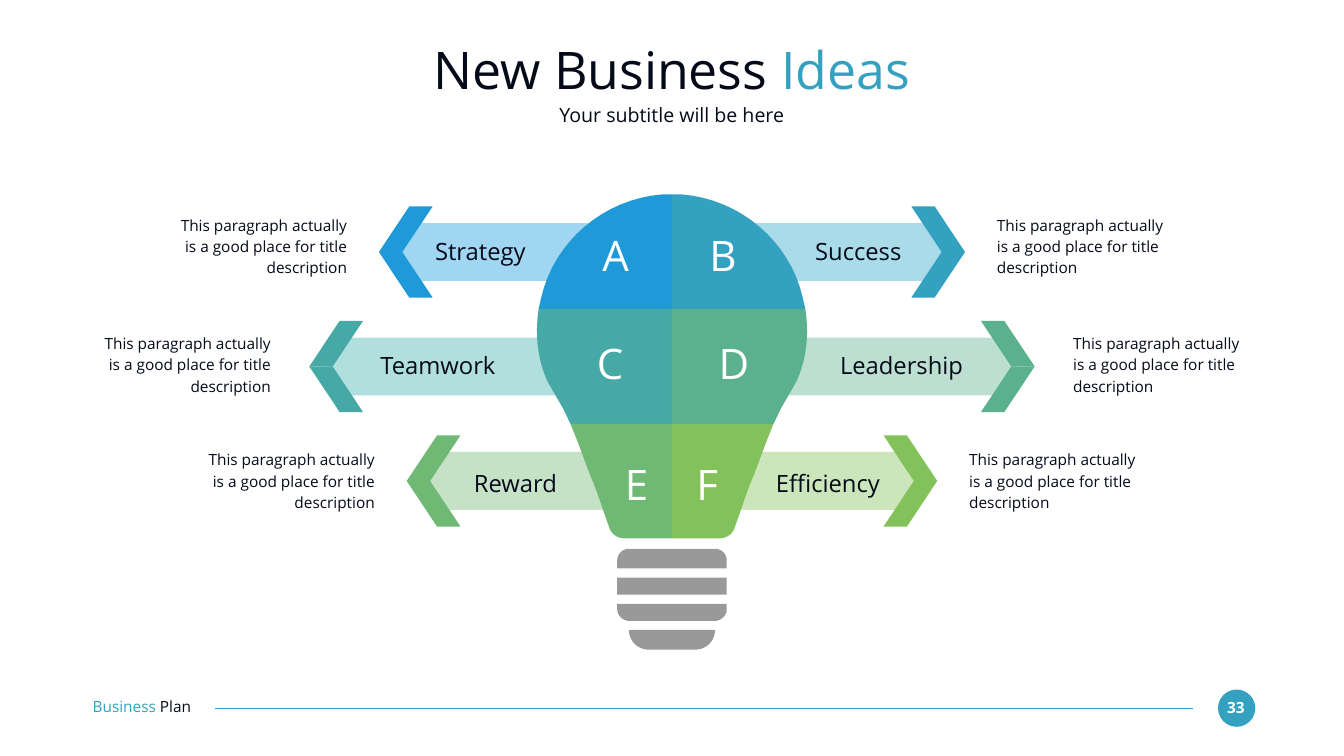
import dataclasses
import pptx
import pptx.dml.color
import pptx.enum.shapes
import pptx.enum.text
import pptx.oxml.ns
import pptx.util
from lxml import etree

Cm = pptx.util.Cm
ALIGN = pptx.enum.text.PP_ALIGN
ANCHOR = pptx.enum.text.MSO_ANCHOR


@dataclasses.dataclass(frozen=True)
class Theme:
    font: str = "Open Sans"
    ink: str = "050A19"
    white: str = "FFFFFF"
    accent: str = "34A1C0"
    gray: str = "999999"
    title: int = 74
    letter: int = 60
    label: int = 34
    lead: int = 28
    small: int = 22
    # (left, right) for each row
    solid: tuple = (("1F99D8", "34A1C0"), ("46A9A6", "5BB18E"), ("70B974", "83C25A"))
    pale: tuple = (("A1D6F2", "A9DBE8"), ("B0DFDE", "BCDFD1"), ("C5E2C6", "CCE6BB"))


@dataclasses.dataclass(frozen=True)
class Row:
    letters: tuple
    labels: tuple
    spots: tuple    # letter centres, left and right, from the middle
    mids: tuple     # label centres, left and right, from the middle
    wide: float     # label width
    tip: float      # arrow tip from the middle
    root: float     # inner end of the ribbon
    edge: float     # inner edge of the description
    tops: tuple     # tops of letter, label and description


THEME = Theme()
MID = 33.87
FIRST, STEP = 12.7, 5.77
SIDES = (-1, 1)
NOTE = "This paragraph actually is a good place for title description"

ROWS = (
    Row(("A", "B"), ("Strategy", "Success"), (2.84, 2.57), (9.66, 9.39), 6.81,
        14.77, 1.61, 16.38, (11.56, 11.94, 10.74)),
    Row(("C", "D"), ("Teamwork", "Leadership"), (3.12, 3.12), (11.8, 11.57), 9.4,
        18.28, 1.61, 20.22, (16.99, 17.65, 16.71)),
    Row(("E", "F"), ("Reward", "Efficiency"), (1.78, 1.78), (7.89, 7.86), 6.81,
        13.37, 0.22, 14.98, (23.09, 23.62, 22.56)),
)

# Right half of each bulb band: two numbers are a corner, six are a curve
BULB = (
    ((0, 9.8), (0.5, 9.8), (3.42, 10.03, 5.93, 12.14, 6.59, 14.99),
     (6.72, 15.57), (0, 15.57)),
    ((0, 15.57), (6.72, 15.57), (6.92, 16.89, 6.77, 18.16, 6.26, 19.25),
     (5.47, 20.62), (5.12, 21.36), (0, 21.36)),
    ((0, 21.36), (5.12, 21.36), (4.66, 22.43, 4.18, 23.88, 3.95, 24.36),
     (3.77, 24.82, 3.42, 25.86, 3.16, 26.59),
     (3.06, 26.9, 2.76, 27.13, 2.4, 27.13), (0, 27.13)),
)
# Right half of each strip of the screw base
BASE = (
    ((0, 27.66), (2.17, 27.66), (2.48, 27.66, 2.76, 27.91, 2.76, 28.24),
     (2.76, 28.65), (0, 28.65)),
    ((0, 29.11), (2.76, 29.11), (2.76, 29.97), (0, 29.97)),
    ((0, 30.43), (2.76, 30.43), (2.76, 30.71),
     (2.76, 31.01, 2.48, 31.29, 2.17, 31.29), (0, 31.29)),
    ((0, 31.75), (2.17, 31.75), (2.17, 32.31, 1.71, 32.74, 1.18, 32.74), (0, 32.74)),
)


def tint(code):
    return pptx.dml.color.RGBColor.from_string(code)


def paint(shape, code):
    shape.shadow.inherit = False
    shape.fill.solid()
    shape.fill.fore_color.rgb = tint(code)
    shape.line.fill.background()


def trace(path, count=16):
    """Turn corners and curves into a list of points."""
    spots = []
    for step in path:
        if len(step) == 2:
            spots.append(step)
            continue
        pairs = (spots[-1], step[:2], step[2:4], step[4:])
        for i in range(1, count + 1):
            t = i / count
            parts = ((1 - t) ** 3, 3 * t * (1 - t) ** 2, 3 * t * t * (1 - t), t ** 3)
            spots.append(tuple(sum(w * p[axis] for w, p in zip(parts, pairs))
                               for axis in (0, 1)))
    return spots


def flip(spots, side):
    return [(side * x, y) for x, y in spots]


def draw(slide, loops, code):
    """Draw closed loops, given from the middle line, as one shape."""
    loops = [[(Cm(MID + x), Cm(y)) for x, y in loop] for loop in loops]
    pen = slide.shapes.build_freeform(*loops[0][0], scale=1.0)
    for i, loop in enumerate(loops):
        if i:
            pen.move_to(*loop[0])
        pen.add_line_segments(loop[1:], close=True)
    paint(pen.convert_to_shape(), code)


def write(slide, text, at, size, color=THEME.ink, align=ALIGN.CENTER,
          anchor=ANCHOR.MIDDLE, bold=False, space=None):
    """Add text: a string, or (string, colour) pairs."""
    frame = slide.shapes.add_textbox(*map(Cm, at)).text_frame
    frame.word_wrap = True
    frame.vertical_anchor = anchor
    frame.margin_left = frame.margin_right = frame.margin_top = frame.margin_bottom = 0
    para = frame.paragraphs[0]
    para.alignment = align
    if space:
        para.line_spacing = space
    for part, code in [(text, color)] if isinstance(text, str) else text:
        run = para.add_run()
        run.text = part
        run.font.name = THEME.font
        run.font.size = pptx.util.Pt(size)
        run.font.bold = bold
        run.font.color.rgb = tint(code)


def ribbon(slide, row, y, side, code):
    tip, neck, half = row.tip - 1.02, row.tip - 1.91, 1.46
    loop = [(row.root, y - half), (neck, y - half), (tip, y),
            (neck, y + half), (row.root, y + half)]
    draw(slide, [flip(loop, side)], code)


def arrow(slide, tip, y, side, code):
    for end in (y - 2.3, y + 2.3):
        loop = [(tip, y), (tip - 1.18, y), (tip - 2.71, end), (tip - 1.53, end)]
        draw(slide, [flip(loop, side)], code)


def words(slide, row, k, side):
    high, mid, low = row.tops
    x = MID + side * row.spots[k]
    write(slide, row.letters[k], (x - 1.36, high, 2.72, 2.57), THEME.letter, THEME.white)
    x = MID + side * row.mids[k]
    write(slide, row.labels[k], (x - row.wide / 2, mid, row.wide, 1.45), THEME.label)
    wide = 8.99
    left = MID + row.edge if side > 0 else MID - row.edge - wide
    write(slide, NOTE, (left, low, wide, 3.6), THEME.small, anchor=ANCHOR.TOP,
          align=ALIGN.LEFT if side > 0 else ALIGN.RIGHT, space=1.15)


def header(slide):
    write(slide, [("New Business ", THEME.ink), ("Ideas", THEME.accent)],
          (4.65, 1.85, 58.42, 3.23), THEME.title)
    write(slide, "Your subtitle will be here", (4.65, 5.16, 58.42, 1.24), THEME.lead)


def footer(slide):
    disc = slide.shapes.add_shape(pptx.enum.shapes.MSO_SHAPE.OVAL,
                                  Cm(61.39), Cm(34.75), Cm(1.88), Cm(1.88))
    paint(disc, THEME.accent)
    write(slide, "33", (61.54, 35.18, 1.5, 0.94), THEME.small, THEME.white, bold=True)
    rule = slide.shapes.add_connector(pptx.enum.shapes.MSO_CONNECTOR.STRAIGHT,
                                      Cm(60.12), Cm(35.69), Cm(10.85), Cm(35.69))
    rule.line.color.rgb = tint(THEME.accent)
    rule.line.width = pptx.util.Pt(1.5)
    etree.SubElement(rule._element.spPr, pptx.oxml.ns.qn("a:effectLst"))
    write(slide, [("Business ", THEME.accent), ("Plan", THEME.ink)],
          (4.67, 35.15, 6.58, 0.94), THEME.small, align=ALIGN.LEFT)


def main():
    deck = pptx.Presentation()
    deck.slide_width, deck.slide_height = Cm(2 * MID), Cm(38.1)
    slide = deck.slides.add_slide(deck.slide_layouts[6])
    footer(slide)
    header(slide)
    cells = [(i, row, k, side) for i, row in enumerate(ROWS)
             for k, side in enumerate(SIDES)]
    # Ribbons lie behind the bulb
    for i, row, k, side in cells:
        ribbon(slide, row, FIRST + STEP * i, side, THEME.pale[i][k])
    # Bulb and its base
    for i, row, k, side in cells:
        draw(slide, [flip(trace(BULB[i]), side)], THEME.solid[i][k])
    halves = [trace(path) for path in BASE]
    draw(slide, [half + flip(half[::-1], -1) for half in halves], THEME.gray)
    # Words and arrows
    for i, row, k, side in cells:
        words(slide, row, k, side)
        arrow(slide, row.tip, FIRST + STEP * i, side, THEME.solid[i][k])
    deck.save("out.pptx")


if __name__ == "__main__":
    main()
